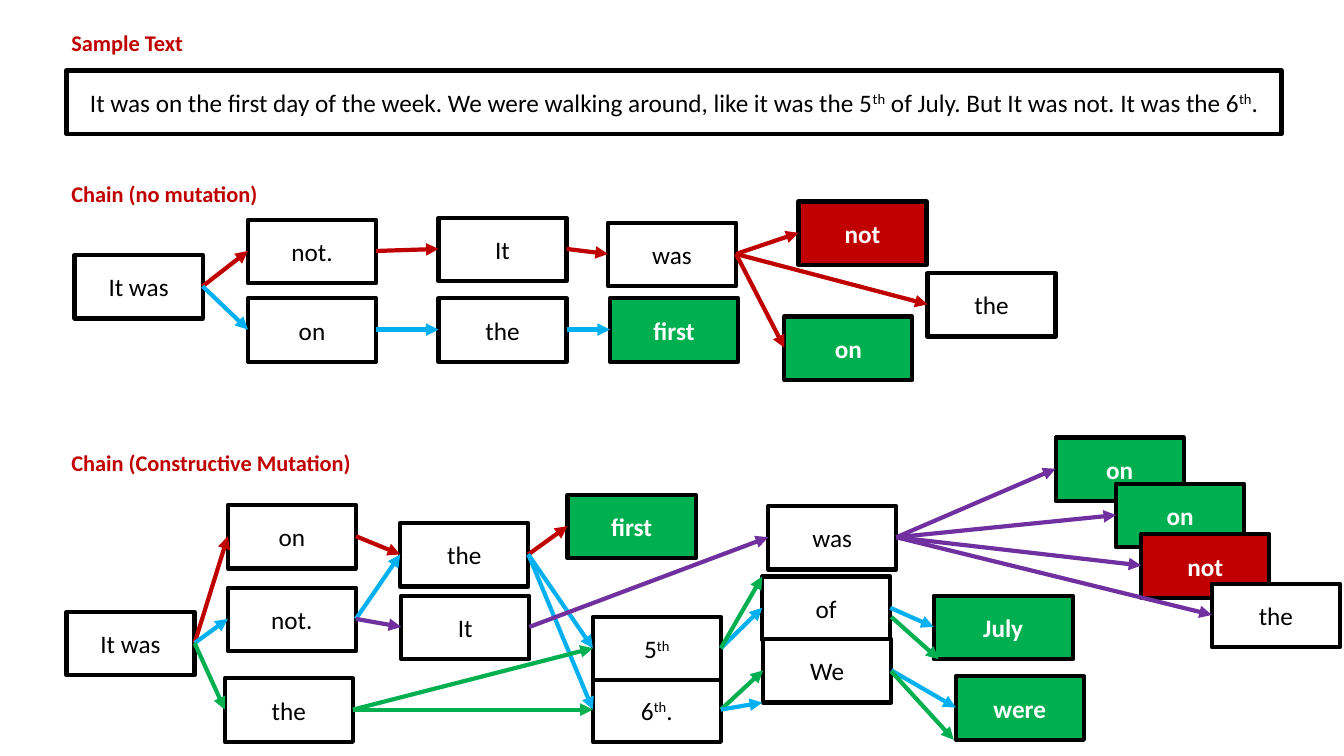
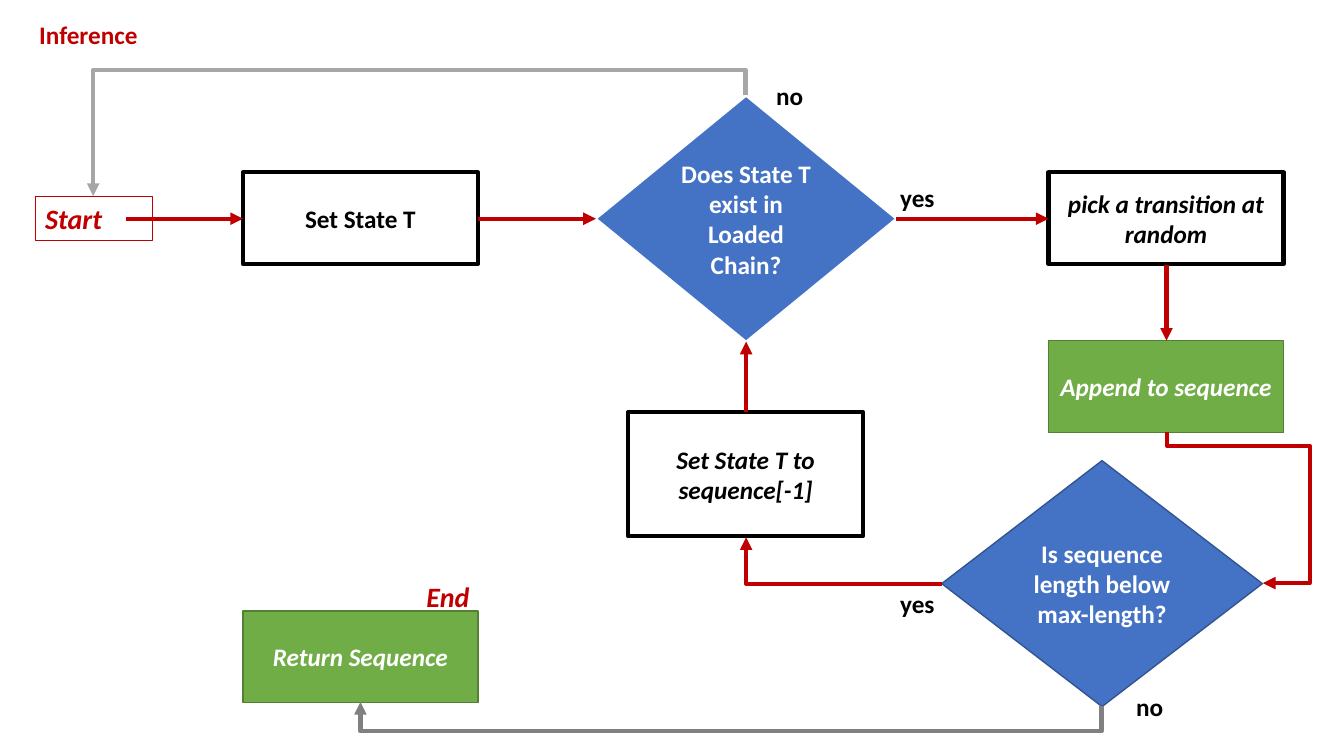
"""Build two slides: word chains with and without mutation, and the inference flowchart."""
from dataclasses import dataclass
from typing import NamedTuple

from lxml.etree import SubElement
from pptx import Presentation
from pptx.dml.color import RGBColor
from pptx.enum.shapes import MSO_CONNECTOR as Connector, MSO_SHAPE as Shape
from pptx.enum.text import MSO_ANCHOR as Anchor, MSO_AUTO_SIZE as AutoSize, PP_ALIGN as Align
from pptx.oxml.ns import qn
from pptx.util import Emu, Pt

EMU_PER_PX = 9144
SLIDE_WIDTH, SLIDE_HEIGHT = 1333, 750
FONT = "Calibri"
COLORS = {
    "white": "FFFFFF", "black": "000000", "red": "C00000", "green": "00B050",
    "cyan": "00B0F0", "purple": "7030A0", "blue": "4472C4", "navy": "325491",
    "leaf": "70AD47", "moss": "538035", "silver": "A6A6A6", "gray": "808080",
}
ARROW_WIDTH = 3
WORD_WIDTH, WORD_HEIGHT = 127, 63
STEP_WIDTH, STEP_HEIGHT = 233, 91


class Style(NamedTuple):
    fill: str
    line: str = "black"
    line_width: float = 3
    text: str = "white"
    bold: bool = True
    italic: bool = False


PLAIN = Style("white", text="black", bold=False)
GOAL = Style("green")
STOP = Style("red")
STEP = Style("white", text="black")
ACTION = STEP._replace(italic=True)
OUTPUT = Style("leaf", "moss", 1, italic=True)
STATE_CHECK = Style("blue", "white", 1.5)
LENGTH_CHECK = Style("blue", "navy", 1)


@dataclass(frozen=True)
class Node:
    label: str
    left: int
    top: int
    style: Style = PLAIN
    width: int = WORD_WIDTH
    height: int = WORD_HEIGHT
    preset: Shape = Shape.RECTANGLE

    @property
    def entry(self) -> tuple[int, int]:
        return self.left, self.top + self.height // 2

    @property
    def exit(self) -> tuple[int, int]:
        return self.left + self.width, self.top + self.height // 2


@dataclass(frozen=True)
class Label:
    text: str
    left: int
    top: int
    width: int
    height: int = 40
    size: int = 18
    color: str = "red"
    italic: bool = False
    outline: str = ""


class Arrow(NamedTuple):
    start: tuple[int, int]
    end: tuple[int, int]
    color: str = "red"


class Elbow(NamedTuple):
    preset: str
    left: int
    top: int
    width: int
    height: int
    rotation: int
    flips: str = ""
    adjustments: tuple[int, ...] = ()
    color: str = "red"


SAMPLE = Node("It was on the first day of the week. We were walking around, like it was the "
              "5^th^ of July. But It was not. It was the 6^th^.", 66, 70, width=1205)

CHAIN = {
    "start": Node("It was", 74, 253),
    "not.": Node("not.", 246, 218),
    "on": Node("on", 246, 296),
    "the": Node("the", 435, 296),
    "It": Node("It", 435, 216),
    "was": Node("was", 603, 221),
    "first": Node("first", 605, 296, GOAL),
    "not": Node("not", 792, 200, STOP),
    "the end": Node("the", 920, 271),
    "on end": Node("on", 778, 314, GOAL),
}
CHAIN_LINKS = {
    "red": [("start", "not."), ("not.", "It"), ("It", "was"), ("was", "not"),
            ("was", "on end"), ("was", "the end")],
    "cyan": [("start", "on"), ("on", "the"), ("the", "first")],
}

MUTATION = {
    "start": Node("It was", 66, 607),
    "on": Node("on", 226, 501),
    "not.": Node("not.", 226, 583),
    "the low": Node("the", 223, 673),
    "6th": Node("6^th^.", 588, 673),
    "5th": Node("5^th^", 588, 612),
    "the": Node("the", 397, 519),
    "first": Node("first", 563, 491, GOAL),
    "of": Node("of", 756, 572),
    "We": Node("We", 757, 634),
    "July": Node("July", 926, 591, GOAL, 138),
    "were": Node("were", 948, 671, GOAL),
    "It": Node("It", 398, 591),
    "was": Node("was", 762, 502),
    "on high": Node("on", 1047, 434, GOAL),
    "on low": Node("on", 1107, 480, GOAL),
    "not": Node("not", 1132, 530, STOP),
    "the end": Node("the", 1202, 579),
}
MUTATION_LINKS = {
    "red": [("start", "on"), ("on", "the"), ("the", "first")],
    "cyan": [("start", "not."), ("not.", "the"), ("the", "5th"), ("the", "6th"),
             ("5th", "of"), ("of", "July"), ("We", "were")],
    "green": [("start", "the low"), ("the low", "5th"), ("the low", "6th"), ("6th", "We")],
    "purple": [("not.", "It"), ("It", "was"), ("was", "on high"), ("was", "on low"),
               ("was", "not"), ("was", "the end")],
}
CORNER_ARROWS = [
    Arrow((715, 704), (756, 697), "cyan"),
    Arrow((715, 643), (756, 572), "green"),
    Arrow((884, 612), (931, 654), "green"),
    Arrow((884, 666), (946, 734), "green"),
]
CHAIN_LABELS = [
    Label("Sample Text", 61, 24, 281, 37, 16),
    Label("Chain (no mutation)", 61, 174, 281, 37, 16),
    Label("Chain (Constructive Mutation)", 61, 441, 313, 37, 16),
]

FLOW = [
    Node("Set State T", 241, 171, STEP, STEP_WIDTH, STEP_HEIGHT),
    Node("Does State T exist in Loaded Chain?", 591, 95, STATE_CHECK, 298, 244, Shape.DIAMOND),
    Node("pick a transition at random", 1040, 171, ACTION, STEP_WIDTH, STEP_HEIGHT),
    Node("Append to sequence", 1040, 338, OUTPUT, STEP_WIDTH, STEP_HEIGHT),
    Node("Is sequence length below max-length?", 934, 457, LENGTH_CHECK, 318, 244, Shape.DIAMOND),
    Node("Set State T to sequence[-1]", 623, 409, ACTION, STEP_WIDTH, 123),
    Node("Return Sequence", 241, 606, OUTPUT, STEP_WIDTH, STEP_HEIGHT),
]
FLOW_ARROWS = [
    Arrow((125, 217), (241, 217)),
    Arrow((474, 217), (591, 217)),
    Arrow((889, 217), (1040, 217)),
    Arrow((1157, 263), (1157, 338)),
    Arrow((740, 409), (740, 339)),
]
FLOW_ELBOWS = [
    Elbow("bentConnector4", 1130, 456, 150, 95, 270, "H", (9300, 148800)),
    Elbow("bentConnector2", 740, 533, 194, 46, 180),
    Elbow("bentConnector3", 366, -179, 100, 647, 270, "HV", (-25000,), "silver"),
    Elbow("bentConnector3", 723, 331, 4, 735, 90, "H", (-625000,), "gray"),
]
FLOW_LABELS = [
    Label("Inference", 29, 14, 281),
    Label("no", 760, 75, 66, color="black"),
    Label("yes", 883, 176, 66, color="black"),
    Label("yes", 883, 579, 66, color="black"),
    Label("no", 1117, 681, 54, color="black"),
    Label("Start", 35, 195, 116, 44, 20, italic=True, outline="red"),
    Label("End", 413, 570, 69, 44, 20, italic=True),
]


def px(*lengths: int) -> list[Emu]:
    return [Emu(length * EMU_PER_PX) for length in lengths]


def rgb(name: str) -> RGBColor:
    return RGBColor.from_string(COLORS[name])


def write_runs(paragraph, text: str, size: int, color: str, bold: bool, italic: bool) -> None:
    for index, part in enumerate(text.split("^")):
        if not part:
            continue
        run = paragraph.add_run()
        run.text = part
        font = run.font
        font.name, font.size, font.bold, font.italic = FONT, Pt(size), bold, italic
        font.color.rgb = rgb(color)
        if index % 2:
            run._r.get_or_add_rPr().set("baseline", "30000")


def draw_node(slide, node: Node) -> None:
    style = node.style
    shape = slide.shapes.add_shape(node.preset, *px(node.left, node.top, node.width, node.height))
    shape.shadow.inherit = False
    shape.fill.solid()
    shape.fill.fore_color.rgb = rgb(style.fill)
    shape.line.color.rgb = rgb(style.line)
    shape.line.width = Pt(style.line_width)
    frame = shape.text_frame
    frame.word_wrap = True
    frame.vertical_anchor = Anchor.MIDDLE
    paragraph = frame.paragraphs[0]
    paragraph.alignment = Align.CENTER
    write_runs(paragraph, node.label, 18, style.text, style.bold, style.italic)


def draw_label(slide, label: Label) -> None:
    box = slide.shapes.add_textbox(*px(label.left, label.top, label.width, label.height))
    if label.outline:
        box.line.color.rgb = rgb(label.outline)
        box.line.width = Pt(0.75)
    frame = box.text_frame
    frame.word_wrap = True
    frame.auto_size = AutoSize.SHAPE_TO_FIT_TEXT
    write_runs(frame.paragraphs[0], label.text, label.size, label.color, True, label.italic)


def style_connector(connector, color: str) -> None:
    connector.line.color.rgb = rgb(color)
    connector.line.width = Pt(ARROW_WIDTH)
    properties = connector._element.spPr
    SubElement(properties.find(qn("a:ln")), qn("a:tailEnd"), type="triangle")
    SubElement(properties, qn("a:effectLst"))


def draw_arrow(slide, arrow: Arrow) -> None:
    connector = slide.shapes.add_connector(Connector.STRAIGHT, *px(*arrow.start, *arrow.end))
    style_connector(connector, arrow.color)


def draw_elbow(slide, elbow: Elbow) -> None:
    right, bottom = elbow.left + elbow.width, elbow.top + elbow.height
    connector = slide.shapes.add_connector(
        Connector.ELBOW, *px(elbow.left, elbow.top, right, bottom))
    style_connector(connector, elbow.color)
    properties = connector._element.spPr
    transform = properties.find(qn("a:xfrm"))
    transform.set("rot", str(elbow.rotation * 60000))
    for axis in elbow.flips:
        transform.set(f"flip{axis}", "1")
    geometry = properties.find(qn("a:prstGeom"))
    geometry.set("prst", elbow.preset)
    guides = geometry.find(qn("a:avLst"))
    for number, value in enumerate(elbow.adjustments, 1):
        SubElement(guides, qn("a:gd"), name=f"adj{number}", fmla=f"val {value}")


def draw_chain(slide, nodes: dict[str, Node], links: dict[str, list[tuple[str, str]]]) -> None:
    for node in nodes.values():
        draw_node(slide, node)
    for color, pairs in links.items():
        for source, target in pairs:
            draw_arrow(slide, Arrow(nodes[source].exit, nodes[target].entry, color))


def build_chains(slide) -> None:
    draw_node(slide, SAMPLE)
    draw_chain(slide, CHAIN, CHAIN_LINKS)
    draw_chain(slide, MUTATION, MUTATION_LINKS)
    for arrow in CORNER_ARROWS:
        draw_arrow(slide, arrow)
    for label in CHAIN_LABELS:
        draw_label(slide, label)


def build_inference(slide) -> None:
    for draw, items in ((draw_node, FLOW), (draw_arrow, FLOW_ARROWS),
                        (draw_elbow, FLOW_ELBOWS), (draw_label, FLOW_LABELS)):
        for item in items:
            draw(slide, item)


def main() -> None:
    presentation = Presentation()
    presentation.slide_width, presentation.slide_height = px(SLIDE_WIDTH, SLIDE_HEIGHT)
    for build in (build_chains, build_inference):
        build(presentation.slides.add_slide(presentation.slide_layouts[6]))
    presentation.save("out.pptx")


if __name__ == "__main__":
    main()
